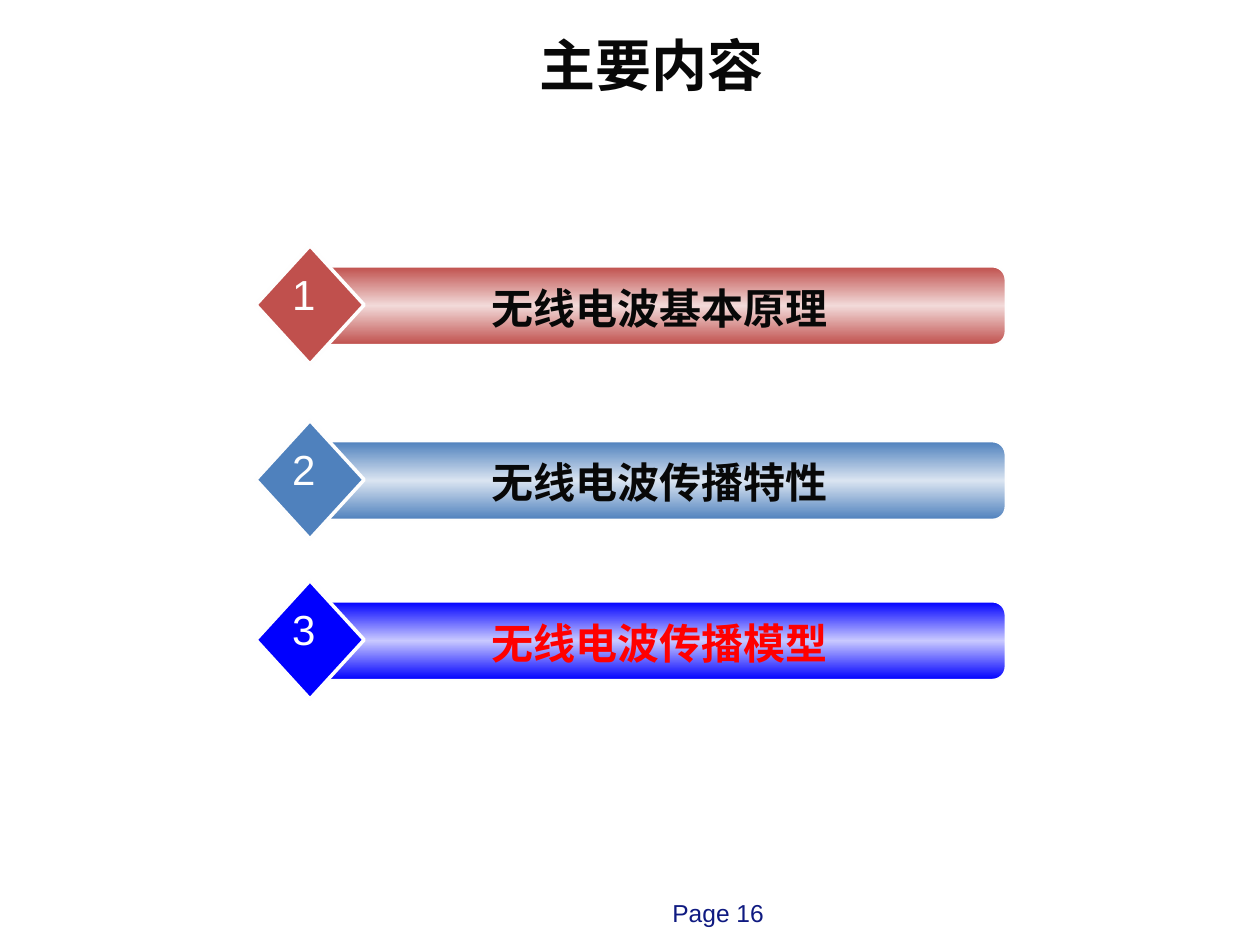
from copy import deepcopy

from lxml.etree import SubElement
from pptx import Presentation
from pptx.dml.color import RGBColor
from pptx.enum.shapes import MSO_SHAPE
from pptx.enum.text import MSO_ANCHOR, MSO_AUTO_SIZE, PP_ALIGN
from pptx.oxml.ns import qn
from pptx.util import Pt

WHITE = RGBColor(0xFE, 0xFE, 0xFE)
BLACK = RGBColor(0x08, 0x08, 0x08)
NAVY = RGBColor(0x0F, 0x1A, 0x81)
HIGHLIGHT = RGBColor(0xFF, 0x00, 0x00)
RED, PALE_RED = RGBColor(0xC0, 0x50, 0x4D), RGBColor(0xF2, 0xDA, 0xD9)
STEEL, PALE_STEEL = RGBColor(0x4F, 0x81, 0xBD), RGBColor(0xDA, 0xE4, 0xF1)
BLUE, PALE_BLUE = RGBColor(0x00, 0x00, 0xFF), RGBColor(0xC9, 0xC9, 0xFF)
CHINESE_FONT = "Noto Sans CJK SC"
LATIN_FONT = "Arial"

ROW_LEFT, ROW_WIDTH = 146.2, 428.4
TOPICS = [
    (140.4, "无线电波基本原理", BLACK, RED, PALE_RED),
    (240.3, "无线电波传播特性", BLACK, STEEL, PALE_STEEL),
    (331.8, "无线电波传播模型", HIGHLIGHT, BLUE, PALE_BLUE),
]


def write_text(shape, text, size=24, font=LATIN_FONT, color=BLACK, bold=False,
               align=PP_ALIGN.CENTER, anchor=MSO_ANCHOR.TOP, wrap=True):
    """Put one formatted line of text into a shape."""
    frame = shape.text_frame
    frame.word_wrap = wrap
    frame.auto_size = MSO_AUTO_SIZE.NONE
    frame.vertical_anchor = anchor
    paragraph = frame.paragraphs[0]
    paragraph.alignment = align
    run = paragraph.add_run()
    run.text = text
    run.font.size = Pt(size)
    run.font.bold = bold
    run.font.color.rgb = color
    run.font.name = font
    SubElement(run.font._element, qn("a:ea"), typeface=font)


def add_outlined_shape(shapes, kind, left, top, width, height, line_width):
    """Add a shadowless preset shape with a white outline."""
    shape = shapes.add_shape(kind, Pt(left), Pt(top), Pt(width), Pt(height))
    shape.shadow.inherit = False
    shape.line.color.rgb = WHITE
    shape.line.width = Pt(line_width)
    return shape


def fill_with_band(shape, edge, middle):
    """Fill a shape with a vertical gradient that is lightest halfway."""
    shape.fill.gradient()
    shape.fill.gradient_angle = 270
    first, second = shape.fill.gradient_stops
    first.color.rgb, first.position = edge, 0
    second.color.rgb, second.position = middle, 0.5
    stop_list = shape._element.spPr.find(qn("a:gradFill")).find(qn("a:gsLst"))
    last = deepcopy(stop_list[0])
    last.set("pos", "100000")
    stop_list.append(last)


def add_topic(slide, left, top, width, number, label, label_color, color, pale):
    """Add a numbered diamond with its labelled bar as one group."""
    shapes = slide.shapes.add_group_shape().shapes
    bar = add_outlined_shape(shapes, MSO_SHAPE.ROUNDED_RECTANGLE,
                             left + 34.6, top + 12, width - 34.6, 44.6, 1)
    fill_with_band(bar, color, pale)
    diamond = add_outlined_shape(shapes, MSO_SHAPE.DIAMOND, left, top, 61.9, 67.7, 2)
    diamond.fill.solid()
    diamond.fill.fore_color.rgb = color
    label_box = shapes.add_textbox(Pt(left + 54.7), Pt(top + 17.3), Pt(width - 76.3), Pt(36))
    write_text(label_box, label, font=CHINESE_FONT, color=label_color, bold=True)
    number_box = shapes.add_textbox(Pt(left + 13.7), Pt(top + 9.7), Pt(27.4), Pt(36))
    write_text(number_box, str(number), color=WHITE, wrap=False)


def add_title(slide, left, top, width, height):
    """Place and format the slide title."""
    title = slide.shapes.title
    title.left, title.top, title.width, title.height = map(Pt, (left, top, width, height))
    write_text(title, "主要内容", size=32, font=CHINESE_FONT, bold=True,
               anchor=MSO_ANCHOR.MIDDLE)


def add_page_number(slide, left, top, width, height):
    """Add the page label at the foot of the slide."""
    box = slide.shapes.add_textbox(Pt(left), Pt(top), Pt(width), Pt(height))
    write_text(box, "Page 16", size=14, color=NAVY, align=PP_ALIGN.RIGHT)


def main():
    """Build the contents slide and save it."""
    presentation = Presentation()
    presentation.slide_width, presentation.slide_height = Pt(720), Pt(540)
    slide = presentation.slides.add_slide(presentation.slide_layouts[5])
    add_title(slide, 48.2, 11.5, 648, 49.7)
    for number, (top, *topic) in enumerate(TOPICS, start=1):
        add_topic(slide, ROW_LEFT, top, ROW_WIDTH, number, *topic)
    add_page_number(slide, 275.8, 509.8, 167.8, 18)
    presentation.save("out.pptx")


if __name__ == "__main__":
    main()
